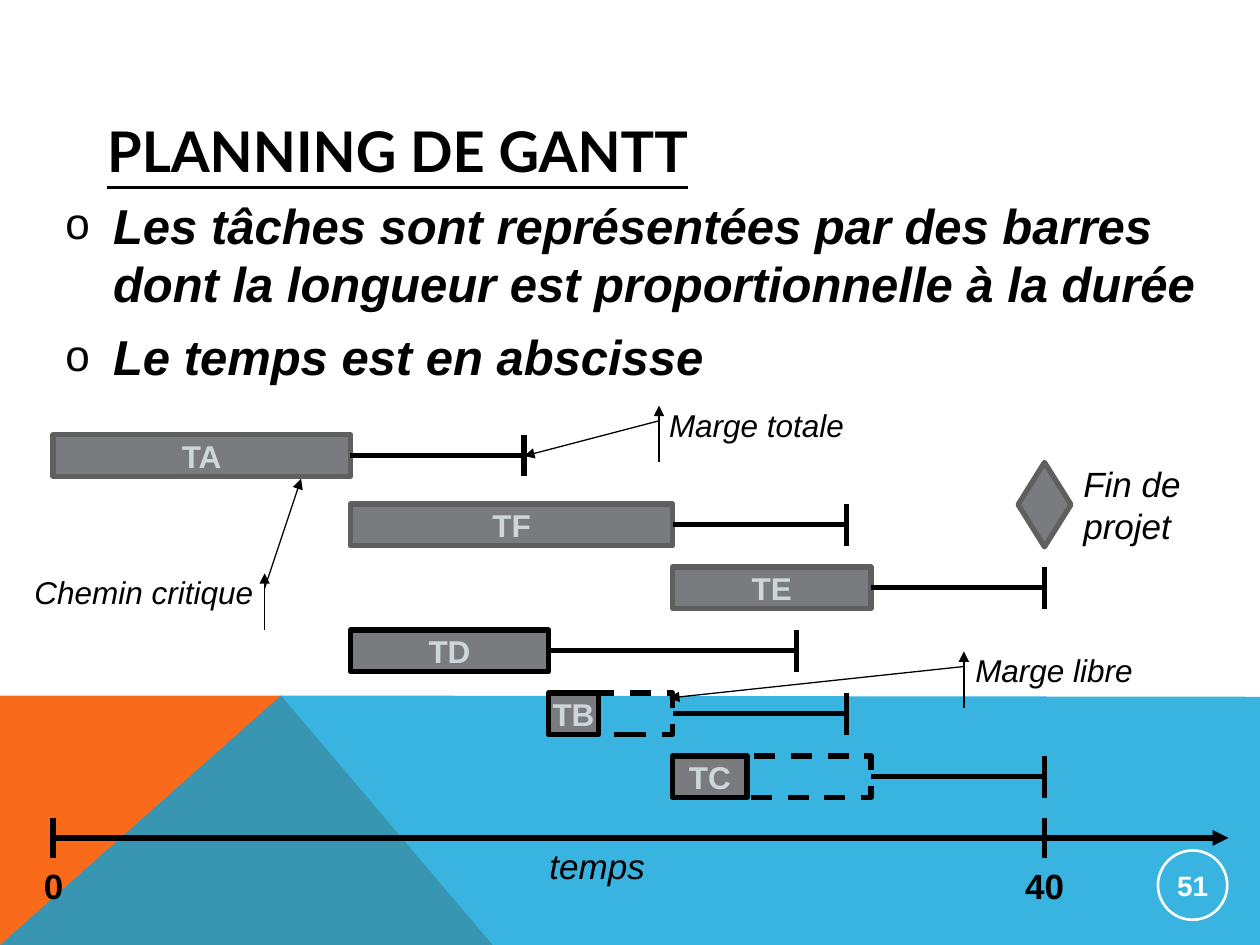
from lxml.etree import SubElement
from pptx import Presentation
from pptx.dml.color import RGBColor
from pptx.enum.dml import MSO_LINE
from pptx.enum.shapes import MSO_CONNECTOR, MSO_SHAPE
from pptx.enum.text import MSO_ANCHOR, PP_ALIGN
from pptx.oxml.ns import qn
from pptx.util import Inches, Pt

WIDTH, HEIGHT = 10, 7.5
BLACK, WHITE, GREY, EDGE, PALE = "000000", "FFFFFF", "797B7E", "5F5F5F", "CDD7D9"
ORANGE, BLUE = "F96A1B", "08A1D9"
BAR_HEIGHT = 0.33
AXIS = 6.65

# name, row, start, end of bar, end of free margin, end of total margin, edge
TASKS = [
    ("TC", 5, 25, 28, 33, 40, BLACK),
    ("TB", 4, 20, 22, 25, 32, BLACK),
    ("TA", -0.1, 0, 12, 12, 19, EDGE),
    ("TF", 1, 12, 25, 25, 32, EDGE),
    ("TE", 2, 25, 33, 33, 40, EDGE),
    ("TD", 3, 12, 20, 20, 30, BLACK),
]

# text, box left and top, alignment, marker line x, pointer target
CALLOUTS = [
    ("Marge totale", 5.31, 3.22, PP_ALIGN.LEFT, 5.23, (4.16, 3.62)),
    ("Chemin critique", 0, 4.55, PP_ALIGN.RIGHT, 2.1, (2.39, 3.8)),
    ("Marge libre", 7.74, 5.17, PP_ALIGN.LEFT, 7.65, (5.31, 5.54)),
]


def day(number):
    """Horizontal place of a day on the time axis."""
    return 0.42 + number * 7.87 / 40


def row_top(row):
    return 3.5 + 0.5 * row


def rgb(color):
    return RGBColor.from_string(color)


def inches(*lengths):
    return [Inches(length) for length in lengths]


def write(shape, text, size, color=BLACK, bold=False, italic=False,
          align=PP_ALIGN.LEFT, font="Arial"):
    frame = shape.text_frame
    frame.text = text
    for para in frame.paragraphs:
        para.alignment = align
        for span in para.runs:
            span.font.name, span.font.size = font, Pt(size)
            span.font.bold, span.font.italic = bold, italic
            span.font.color.rgb = rgb(color)
    return frame


def set_margins(frame, margin):
    frame.margin_left = frame.margin_right = margin
    frame.margin_top = frame.margin_bottom = margin


def add_box(page, at, text, size, **style):
    box = page.shapes.add_textbox(*inches(*at))
    frame = write(box, text, size, **style)
    frame.word_wrap = True
    return frame


def add_figure(page, kind, at, fill=None, edge=BLACK, weight=3):
    figure = page.shapes.add_shape(kind, *inches(*at))
    figure.shadow.inherit = False
    if fill:
        figure.fill.solid()
        figure.fill.fore_color.rgb = rgb(fill)
    else:
        figure.fill.background()
    figure.line.color.rgb = rgb(edge)
    figure.line.width = Pt(weight)
    return figure


def add_line(page, start, end, weight=3, arrow=None):
    """Draw a line; arrow is headEnd (at start) or tailEnd (at end)."""
    line = page.shapes.add_connector(MSO_CONNECTOR.STRAIGHT, *inches(*start, *end))
    line.line.color.rgb = rgb(BLACK)
    line.line.width = Pt(weight)
    properties = line._element.spPr
    if arrow:
        SubElement(properties.find(qn("a:ln")), qn(f"a:{arrow}"), type="triangle")
    SubElement(properties, qn("a:effectLst"))


def add_polygon(page, points, color, opacity=100):
    corners = [inches(*point) for point in points]
    builder = page.shapes.build_freeform(*corners[0])
    builder.add_line_segments(corners[1:], close=True)
    polygon = builder.convert_to_shape()
    polygon.shadow.inherit = False
    polygon.fill.solid()
    polygon.fill.fore_color.rgb = rgb(color)
    polygon.line.fill.background()
    if opacity < 100:
        fill = polygon._element.spPr.find(qn("a:solidFill"))
        SubElement(fill[0], qn("a:alpha"), val=str(opacity * 1000))


def add_backdrop(page):
    peak = (2.23, 5.52)
    add_polygon(page, [(0, HEIGHT), (0, 5.52), peak, (3.91, HEIGHT)], ORANGE)
    add_polygon(page, [(0, HEIGHT), peak, (WIDTH, 5.53), (WIDTH, HEIGHT)], BLUE, 80)


def add_title(page, text):
    title = page.shapes.title
    title.left, title.top, title.width, title.height = inches(0.75, 0.89, 8.53, 0.61)
    frame = write(title, text, 32, bold=True, font="Lato")
    frame.vertical_anchor = MSO_ANCHOR.MIDDLE
    frame.paragraphs[0].runs[0].font.underline = True


def add_bullets(page, items):
    frame = add_box(page, (0.42, 1.5, 9.33, 1.67), "\n".join(items), 28,
                    bold=True, italic=True)
    for index, para in enumerate(frame.paragraphs):
        if index:
            para.space_before = Pt(8)
        properties = para._p.get_or_add_pPr()
        properties.set("marL", str(Inches(0.38)))
        properties.set("indent", str(-Inches(0.38)))
        color = SubElement(properties, qn("a:buClr"))
        SubElement(color, qn("a:srgbClr"), val=BLACK)
        SubElement(properties, qn("a:buSzPct"), val="90000")
        SubElement(properties, qn("a:buFont"), typeface="Arial")
        SubElement(properties, qn("a:buChar"), char="o")


def add_task(page, name, row, start, end, free_end, total_end, edge):
    top, middle = row_top(row), row_top(row) + BAR_HEIGHT / 2
    at = (day(start), top, day(end) - day(start), BAR_HEIGHT)
    bar = add_figure(page, MSO_SHAPE.RECTANGLE, at, GREY, edge)
    frame = write(bar, name, 18, PALE, bold=True, align=PP_ALIGN.CENTER)
    frame.word_wrap = False
    frame.vertical_anchor = MSO_ANCHOR.MIDDLE
    if free_end > end:
        at = (day(end), top, day(free_end) - day(end), BAR_HEIGHT)
        margin = add_figure(page, MSO_SHAPE.RECTANGLE, at)
        margin.line.dash_style = MSO_LINE.DASH
    limit = day(total_end)
    add_line(page, (day(free_end), middle), (limit, middle))
    add_line(page, (limit, top), (limit, top + BAR_HEIGHT))


def add_time_axis(page):
    add_line(page, (day(0), AXIS), (9.75, AXIS), arrow="tailEnd")
    for number in (0, 40):
        add_line(page, (day(number), AXIS - 0.16), (day(number), AXIS + 0.16))
    add_box(page, (0.25, 6.81, 1.58, 0.44), "0", 20, bold=True)
    add_box(page, (7.5, 6.81, 1.58, 0.44), "40", 20, bold=True, align=PP_ALIGN.CENTER)
    add_box(page, (3.95, AXIS, 1.58, 0.44), "temps", 20, italic=True,
            align=PP_ALIGN.CENTER)


def add_milestone(page):
    add_figure(page, MSO_SHAPE.FLOWCHART_DECISION, (8.08, 3.67, 0.42, 0.67), GREY, EDGE)
    add_box(page, (8.5, 3.62, 1.5, 0.77), "Fin de\nprojet", 20, italic=True)


def add_callout(page, text, left, top, align, marker, target):
    frame = add_box(page, (left, top, 2.01, 0.45), text, 18, italic=True, align=align)
    set_margins(frame, 0)
    add_line(page, target, (marker, top + 0.12), 0.75, "headEnd")
    add_line(page, (marker, top), (marker, top + 0.45), 0.75, "headEnd")


def add_page_number(page, number):
    badge = add_figure(page, MSO_SHAPE.OVAL, (9.19, 6.75, 0.55, 0.55),
                       edge=WHITE, weight=1.5)
    frame = write(badge, number, 16, WHITE, bold=True, align=PP_ALIGN.CENTER)
    frame.vertical_anchor = MSO_ANCHOR.MIDDLE
    set_margins(frame, Inches(0.01))


def main():
    deck = Presentation()
    deck.slide_width, deck.slide_height = inches(WIDTH, HEIGHT)
    page = deck.slides.add_slide(deck.slide_layouts[5])

    # Background and text
    add_backdrop(page)
    add_title(page, "PLANNING DE GANTT")
    add_bullets(page, [
        "Les tâches sont représentées par des barres dont la longueur "
        "est proportionnelle à la durée",
        "Le temps est en abscisse",
    ])
    add_page_number(page, "51")

    # Gantt chart
    for task in TASKS:
        add_task(page, *task)
    add_time_axis(page)
    add_milestone(page)
    for callout in CALLOUTS:
        add_callout(page, *callout)

    deck.save("out.pptx")


if __name__ == "__main__":
    main()
